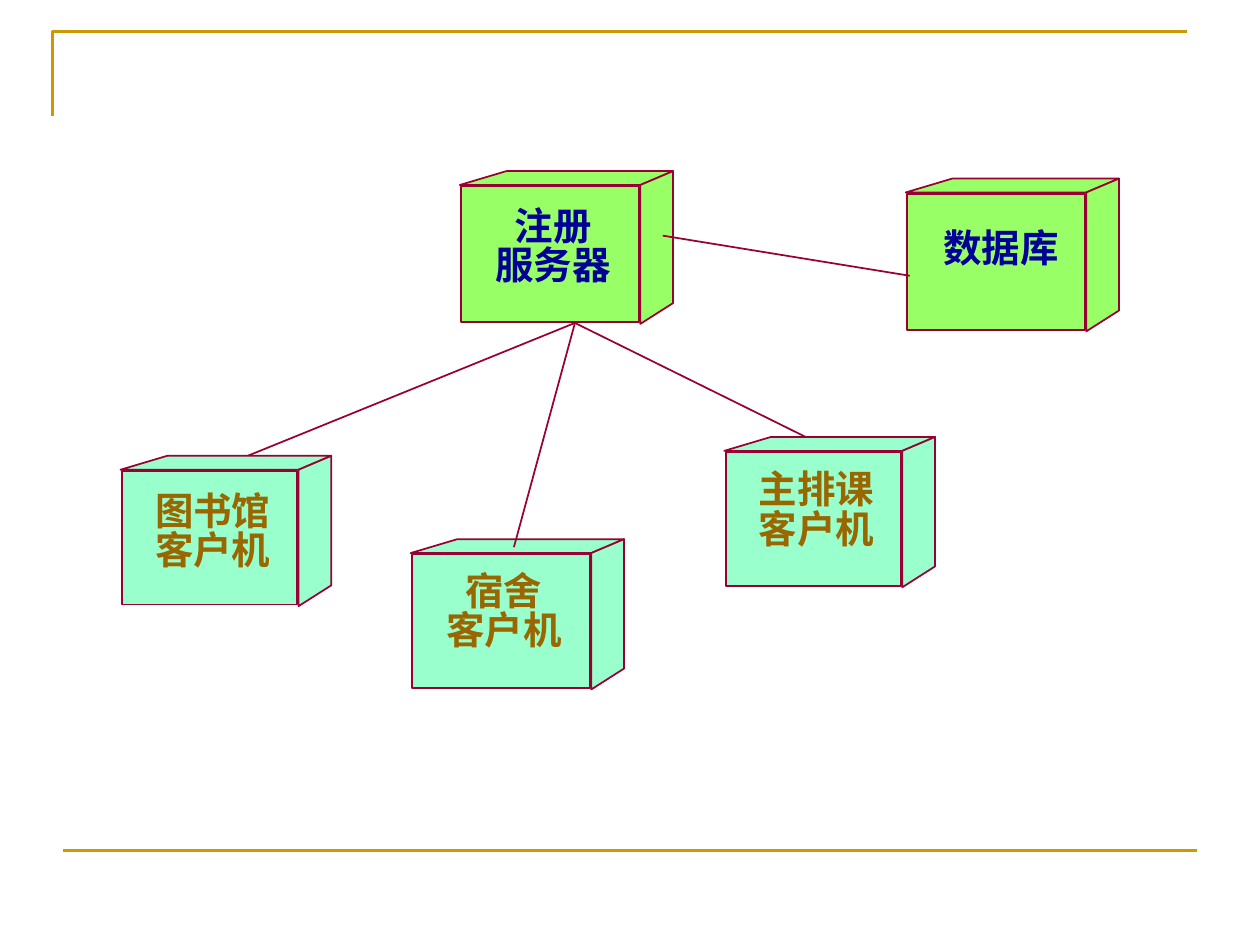
from dataclasses import dataclass

from pptx import Presentation
from pptx.dml.color import RGBColor
from pptx.enum.shapes import MSO_CONNECTOR, MSO_SHAPE
from pptx.enum.text import MSO_AUTO_SIZE, PP_ALIGN
from pptx.oxml.ns import qn
from pptx.util import Cm, Pt

RECTANGLE = MSO_SHAPE.RECTANGLE
STRAIGHT = MSO_CONNECTOR.STRAIGHT
FIT_SHAPE = MSO_AUTO_SIZE.SHAPE_TO_FIT_TEXT
LEFT, CENTER = PP_ALIGN.LEFT, PP_ALIGN.CENTER


@dataclass(frozen=True)
class Theme:
    gold: RGBColor = RGBColor(0xCC, 0x99, 0x00)
    outline: RGBColor = RGBColor(0x99, 0x00, 0x33)
    server_fill: RGBColor = RGBColor(0x99, 0xFF, 0x66)
    server_text: RGBColor = RGBColor(0x00, 0x00, 0x99)
    client_fill: RGBColor = RGBColor(0x99, 0xFF, 0xCC)
    client_text: RGBColor = RGBColor(0x99, 0x66, 0x00)
    font: str = "Comic Neue"
    label_size: float = 22
    frame_width: float = 1.5
    outline_width: float = 1


class DiagramSlide:
    # Cube proportions in centimetres
    DEPTH = 0.66
    LID_HEIGHT = 0.28
    LID_SHIFT = 0.94
    SIDE_RISE = 0.42
    EDGE = 0.03
    LABEL_WIDTH = 2.34

    def __init__(self, deck, theme):
        self.theme = theme
        self.slide = deck.slides.add_slide(deck.slide_layouts[6])
        self.shapes = self.slide.shapes

    def style_line(self, shape, color, width):
        shape.line.color.rgb = color
        shape.line.width = Pt(width)

    def line(self, start, end, color, width):
        connector = self.shapes.add_connector(
            STRAIGHT, *(Cm(value) for value in (*start, *end)))
        self.style_line(connector, color, width)
        properties = connector._element.spPr
        properties.append(properties.makeelement(qn("a:effectLst"), {}))

    def link(self, start, end):
        self.line(start, end, self.theme.outline, self.theme.outline_width)

    def outline(self, points, color, width, fill=None):
        corners = [(Cm(x), Cm(y)) for x, y in points]
        builder = self.shapes.build_freeform(*corners[0])
        builder.add_line_segments(corners[1:], close=fill is not None)
        shape = builder.convert_to_shape()
        shape.shadow.inherit = False
        if fill is None:
            shape.fill.background()
        else:
            shape.fill.solid()
            shape.fill.fore_color.rgb = fill
        self.style_line(shape, color, width)

    def rectangle(self, left, top, width, height, fill):
        box = self.shapes.add_shape(
            RECTANGLE, Cm(left), Cm(top), Cm(width), Cm(height))
        box.shadow.inherit = False
        box.fill.solid()
        box.fill.fore_color.rgb = fill
        return box

    def label(self, left, top, lines, fill, color):
        several = len(lines) > 1
        box = self.rectangle(
            left, top, self.LABEL_WIDTH, 1.57 if several else 0.94, fill)
        box.line.fill.background()
        frame = box.text_frame
        frame.word_wrap = False
        frame.auto_size = FIT_SHAPE
        frame.margin_left = frame.margin_right = 0
        frame.margin_top = frame.margin_bottom = 0
        for index, text in enumerate(lines):
            para = frame.add_paragraph() if index else frame.paragraphs[0]
            para.alignment = CENTER if several else LEFT
            if several:
                para.line_spacing = 0.85
            span = para.add_run()
            span.text = text
            span.font.name = self.theme.font
            span.font.size = Pt(self.theme.label_size)
            span.font.bold = True
            span.font.color.rgb = color

    def cube(self, left, top, width, height, label_at, lines, fill, color):
        theme = self.theme
        style = (theme.outline, theme.outline_width)
        front = self.rectangle(left, top, width, height, fill)
        self.style_line(front, *style)

        # Lid and right side
        lid_left, lid_bottom = left - self.EDGE, top - self.EDGE
        lid_top = lid_bottom - self.LID_HEIGHT
        side_left = left + width + self.EDGE
        side_right = side_left + self.DEPTH
        bottom = top + height + self.EDGE
        self.outline([(lid_left, lid_bottom),
                      (lid_left + self.LID_SHIFT, lid_top),
                      (side_right, lid_top),
                      (side_left, lid_bottom)], *style, fill)
        self.outline([(side_left, lid_bottom),
                      (side_right, lid_top),
                      (side_right, bottom - self.SIDE_RISE),
                      (side_left, bottom)], *style, fill)
        self.label(*label_at, lines, fill, color)


def main():
    deck = Presentation()
    deck.slide_width, deck.slide_height = Cm(25.4), Cm(19.05)
    theme = Theme()
    page = DiagramSlide(deck, theme)
    server = (theme.server_fill, theme.server_text)
    client = (theme.client_fill, theme.client_text)

    # Page frame
    frame = (theme.gold, theme.frame_width)
    page.outline([(1.06, 2.33), (1.06, 0.64), (23.92, 0.64)], *frame)
    page.line((1.27, 17.15), (24.13, 17.15), *frame)

    # Server, database and dormitory client
    page.cube(9.3, 3.76, 3.58, 2.74, (9.98, 4.22), ["注册", "服务器"], *server)
    page.cube(18.29, 3.91, 3.58, 2.74, (19.02, 4.52), ["数据库"], *server)
    page.cube(8.31, 11.18, 3.58, 2.69, (8.99, 11.58), ["宿舍", "客户机"], *client)

    # Links from the server
    hub = (11.59, 6.51)
    for client_top in [(4.67, 9.32), (10.36, 11.03), (16.61, 8.99)]:
        page.link(hub, client_top)
    page.link((13.36, 4.75), (18.34, 5.56))

    # Library and scheduling clients
    page.cube(2.46, 9.5, 3.53, 2.69, (3.12, 9.96), ["图书馆", "客户机"], *client)
    page.cube(14.63, 9.12, 3.53, 2.69, (15.29, 9.53), ["主排课", "客户机"], *client)

    deck.save("out.pptx")


if __name__ == "__main__":
    main()
